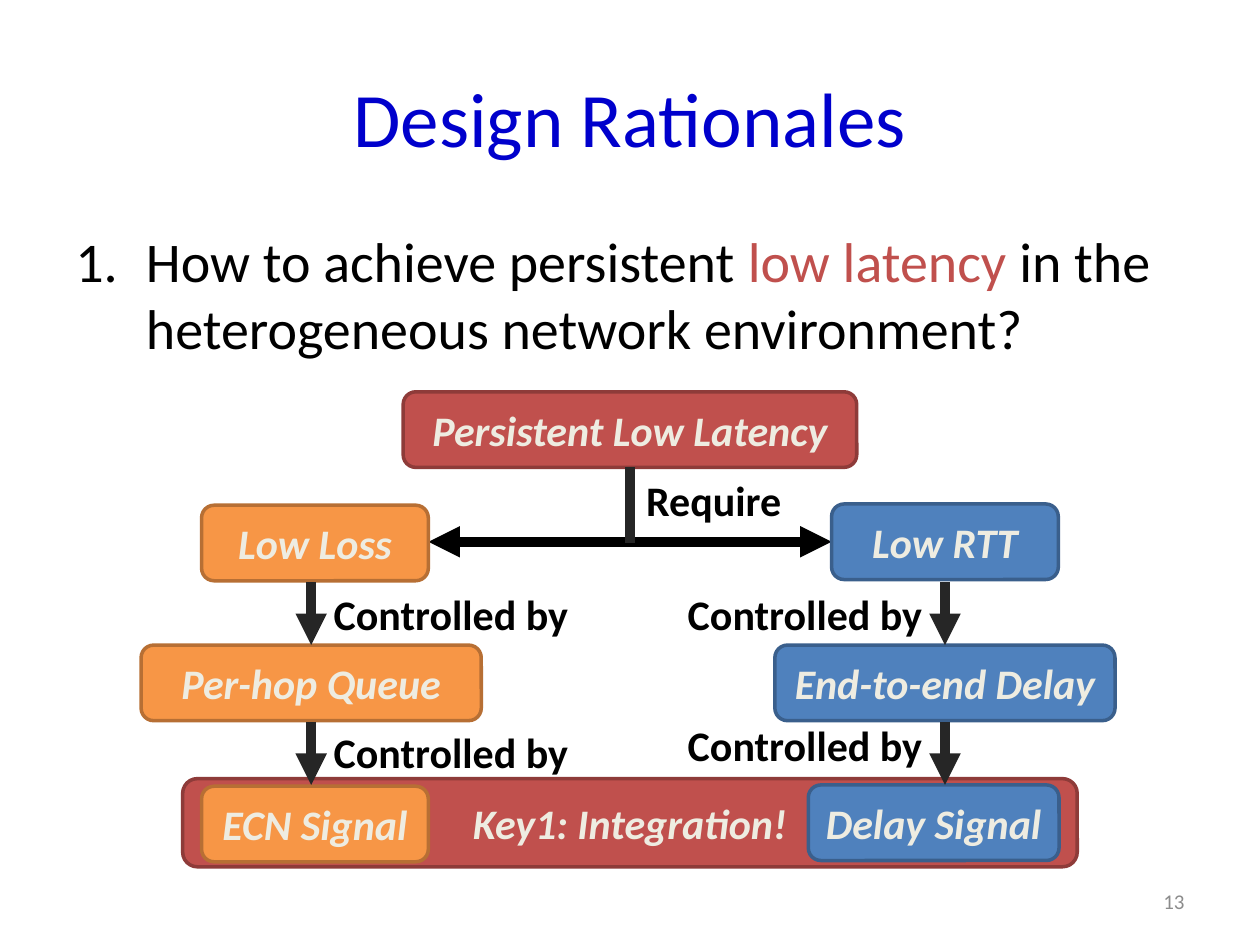
from lxml.etree import SubElement
from pptx import Presentation
from pptx.dml.color import RGBColor
from pptx.enum.shapes import MSO_CONNECTOR as Connector, MSO_SHAPE as Shape
from pptx.enum.text import MSO_ANCHOR as Anchor, MSO_AUTO_SIZE as AutoSize, PP_ALIGN as Align
from pptx.oxml.ns import qn
from pptx.util import Inches, Pt

FONT = "Calibri"
COLORS = {
    "title": "0000CC", "black": "000000", "arrow": "262626",
    "number": "8C8C8C", "cream": "EEECE1",
    "red": "C0504D", "red_edge": "8E3B39",
    "orange": "F79646", "orange_edge": "B76F34",
    "blue": "4F81BD", "blue_edge": "3A5F8C",
}
BOX_HEIGHT = 0.6


def color(name):
    return RGBColor.from_string(COLORS[name])


def add_span(para, text, size, tone, bold=False, italic=False):
    span = para.add_run()
    span.text = text
    font = span.font
    font.name, font.size = FONT, Pt(size)
    font.bold, font.italic = bold, italic
    font.color.rgb = color(tone)


def add_text_box(page, left, top, width, height):
    box = page.shapes.add_textbox(*map(Inches, (left, top, width, height)))
    box.text_frame.word_wrap = True
    return box.text_frame


def add_title(page, text):
    title = page.shapes.title
    title.left, title.top = Inches(0.5), Inches(0.3)
    title.width, title.height = Inches(9), Inches(1.25)
    title.text_frame.vertical_anchor = Anchor.MIDDLE
    para = title.text_frame.paragraphs[0]
    para.alignment = Align.CENTER
    add_span(para, text, 44, "title")


def add_question(page, spans):
    para = add_text_box(page, 0.5, 1.75, 9, 1.25).paragraphs[0]
    para.space_before = Pt(6.4)
    for text, tone in spans:
        add_span(para, text, 32, tone)
    props = para._p.get_or_add_pPr()
    props.set("marL", str(Inches(0.56)))
    props.set("indent", str(-Inches(0.56)))
    SubElement(props, qn("a:buFont"), typeface="+mj-lt")
    SubElement(props, qn("a:buAutoNum"), type="arabicPeriod")


def add_page_number(page, text):
    frame = add_text_box(page, 7.17, 6.95, 2.33, 0.4)
    frame.vertical_anchor = Anchor.MIDDLE
    para = frame.paragraphs[0]
    para.alignment = Align.RIGHT
    add_span(para, text, 12, "number")


def add_box(page, text, center, top, width, tone, height=BOX_HEIGHT):
    box = page.shapes.add_shape(
        Shape.ROUNDED_RECTANGLE, Inches(center - width / 2), Inches(top),
        Inches(width), Inches(height))
    box.shadow.inherit = False
    box.fill.solid()
    box.fill.fore_color.rgb = color(tone)
    box.line.color.rgb = color(tone + "_edge")
    box.line.width = Pt(2)
    frame = box.text_frame
    frame.word_wrap = True
    frame.vertical_anchor = Anchor.MIDDLE
    para = frame.paragraphs[0]
    para.alignment = Align.CENTER
    add_span(para, text, 24, "cream", bold=True, italic=True)


def add_label(page, text, left, top, width):
    frame = add_text_box(page, left, top, width, 0.5)
    frame.word_wrap = False
    frame.auto_size = AutoSize.SHAPE_TO_FIT_TEXT
    add_span(frame.paragraphs[0], text, 24, "black", bold=True)


def add_line(page, start, end, tone, ends=()):
    line = page.shapes.add_connector(
        Connector.STRAIGHT, *map(Inches, (*start, *end)))
    line.line.color.rgb = color(tone)
    line.line.width = Pt(6)
    outline = line.line._get_or_add_ln()
    for end_tag in ends:
        SubElement(outline, qn(end_tag), type="triangle")
    SubElement(line._element.spPr, qn("a:effectLst"))


def add_control_chain(page, center, tone, boxes, label_left, label_tops):
    for text, top, width in boxes:
        add_box(page, text, center, top, width, tone)
    for top in (4.62, 5.73):
        add_line(page, (center, top), (center, top + 0.5), "arrow", ["a:tailEnd"])
    for top in label_tops:
        add_label(page, "Controlled by", label_left, top, 2.08)


def main():
    deck = Presentation()
    deck.slide_width, deck.slide_height = Inches(10), Inches(7.5)
    page = deck.slides.add_slide(deck.slide_layouts[5])

    add_title(page, "Design Rationales")
    add_question(page, [
        ("How to achieve persistent ", "black"),
        ("low latency", "red"),
        (" in the heterogeneous network environment?", "black"),
    ])
    add_page_number(page, "13")

    add_box(page, "Key1: Integration!", 5, 6.18, 7.1, "red", height=0.7)
    add_box(page, "Persistent Low Latency", 5, 3.11, 3.6, "red")
    add_line(page, (3.4, 4.3), (6.6, 4.3), "black", ["a:headEnd", "a:tailEnd"])
    add_line(page, (5, 3.71), (5, 4.31), "arrow")
    add_label(page, "Require", 5.03, 3.72, 1.29)
    add_box(page, "Low Loss", 2.5, 4.01, 1.8, "orange")
    add_box(page, "Low RTT", 7.5, 4, 1.8, "blue")

    add_box(page, "ECN Signal", 2.5, 6.24, 1.8, "orange")
    add_control_chain(page, 2.47, "orange",
                      [("Per-hop Queue", 5.12, 2.7)], 2.55, (4.62, 5.72))
    add_box(page, "Delay Signal", 7.41, 6.23, 1.99, "blue")
    add_control_chain(page, 7.5, "blue",
                      [("End-to-end Delay", 5.12, 2.7)], 5.36, (4.62, 5.66))

    deck.save("out.pptx")


if __name__ == "__main__":
    main()
